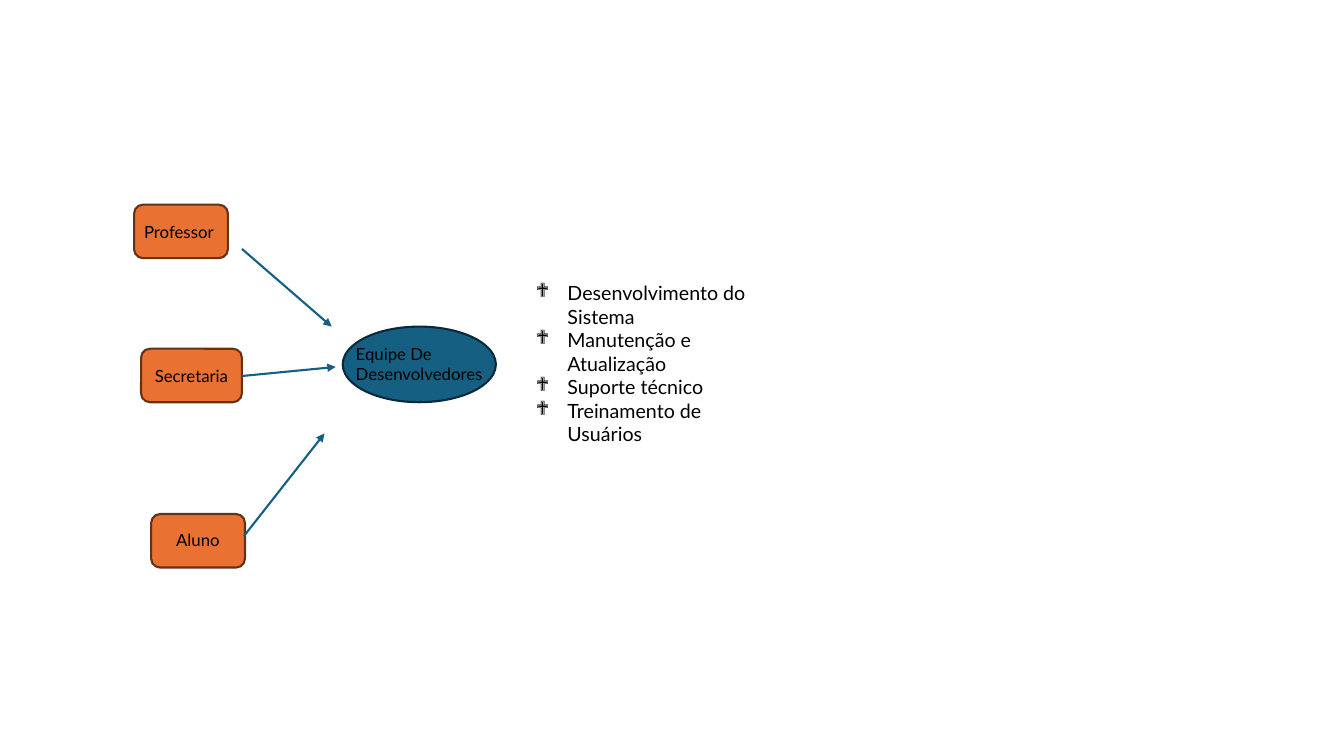
from lxml.etree import SubElement
from pptx import Presentation
from pptx.dml.color import RGBColor
from pptx.enum.shapes import MSO_CONNECTOR, MSO_SHAPE
from pptx.enum.text import MSO_ANCHOR, MSO_AUTO_SIZE, PP_ALIGN
from pptx.oxml.ns import qn
from pptx.util import Pt

ORANGE, BROWN = "E97132", "663216"
BLUE, NAVY = "156082", "092A39"


def color(hex_code):
    return RGBColor.from_string(hex_code)


def write(frame, lines, size):
    """Fill a text frame with one paragraph per line, in black Lato."""
    frame.word_wrap = True
    frame.text = "\n".join(lines)
    for para in frame.paragraphs:
        for span in para.runs:
            span.font.name = "Lato"
            span.font.size = Pt(size)
            span.font.color.rgb = color("000000")


deck = Presentation()
deck.slide_width, deck.slide_height = Pt(960), Pt(540)
page = deck.slides.add_slide(deck.slide_layouts[6])

# Actors and the team: kind, left, top, width, height, fill, outline, inner text
nodes = [
    (MSO_SHAPE.ROUNDED_RECTANGLE, 95.8, 146.2, 67, 38.2, ORANGE, BROWN, ""),
    (MSO_SHAPE.ROUNDED_RECTANGLE, 108, 367.2, 67, 38.2, ORANGE, BROWN, ""),
    (MSO_SHAPE.OVAL, 244.8, 233.3, 109.4, 54, BLUE, NAVY, ""),
    (MSO_SHAPE.ROUNDED_RECTANGLE, 100.8, 249.1, 72, 38.2, ORANGE, BROWN, "Secretaria"),
]
for kind, left, top, width, height, fill, outline, label in nodes:
    node = page.shapes.add_shape(kind, Pt(left), Pt(top), Pt(width), Pt(height))
    node.shadow.inherit = False
    node.fill.solid()
    node.fill.fore_color.rgb = color(fill)
    node.line.color.rgb = color(outline)
    node.line.width = Pt(1.5)
    if label:
        write(node.text_frame, [label], 12)
        node.text_frame.vertical_anchor = MSO_ANCHOR.MIDDLE
        node.text_frame.paragraphs[0].alignment = PP_ALIGN.CENTER

# Labels laid over the nodes, then the list of duties
duties = [
    "Desenvolvimento do Sistema",
    "Manutenção e Atualização",
    "Suporte técnico",
    "Treinamento de Usuários",
]
texts = [
    (95.8, 154.8, 72, 21.8, ["Professor"], 12),
    (118.8, 375.1, 72, 21.8, ["Aluno"], 12),
    (247, 241.9, 129.6, 36.3, ["Equipe De Desenvolvedores"], 12),
    (375.8, 197.3, 182.2, 126, duties, 14),
]
for left, top, width, height, lines, size in texts:
    box = page.shapes.add_textbox(Pt(left), Pt(top), Pt(width), Pt(height))
    write(box.text_frame, lines, size)
    box.text_frame.auto_size = MSO_AUTO_SIZE.SHAPE_TO_FIT_TEXT
    if lines is duties:
        for para in box.text_frame.paragraphs:
            properties = para._p.get_or_add_pPr()
            properties.set("marL", str(Pt(22.5)))
            properties.set("indent", str(-Pt(22.5)))
            SubElement(properties, qn("a:buFont"), typeface="Wingdings")
            SubElement(properties, qn("a:buChar"), char="❖")

# Arrows from each actor to the team
arrows = [
    (172.8, 177.8, 236.9, 233.3),
    (174.2, 383, 231.8, 309.6),
    (172.8, 268.6, 239.8, 262.1),
]
for ends in arrows:
    arrow = page.shapes.add_connector(MSO_CONNECTOR.STRAIGHT, *map(Pt, ends))
    arrow.line.color.rgb = color(BLUE)
    arrow.line.width = Pt(1.5)
    SubElement(arrow.line._get_or_add_ln(), qn("a:tailEnd"), type="triangle")
    SubElement(arrow._element.spPr, qn("a:effectLst"))

deck.save("out.pptx")
